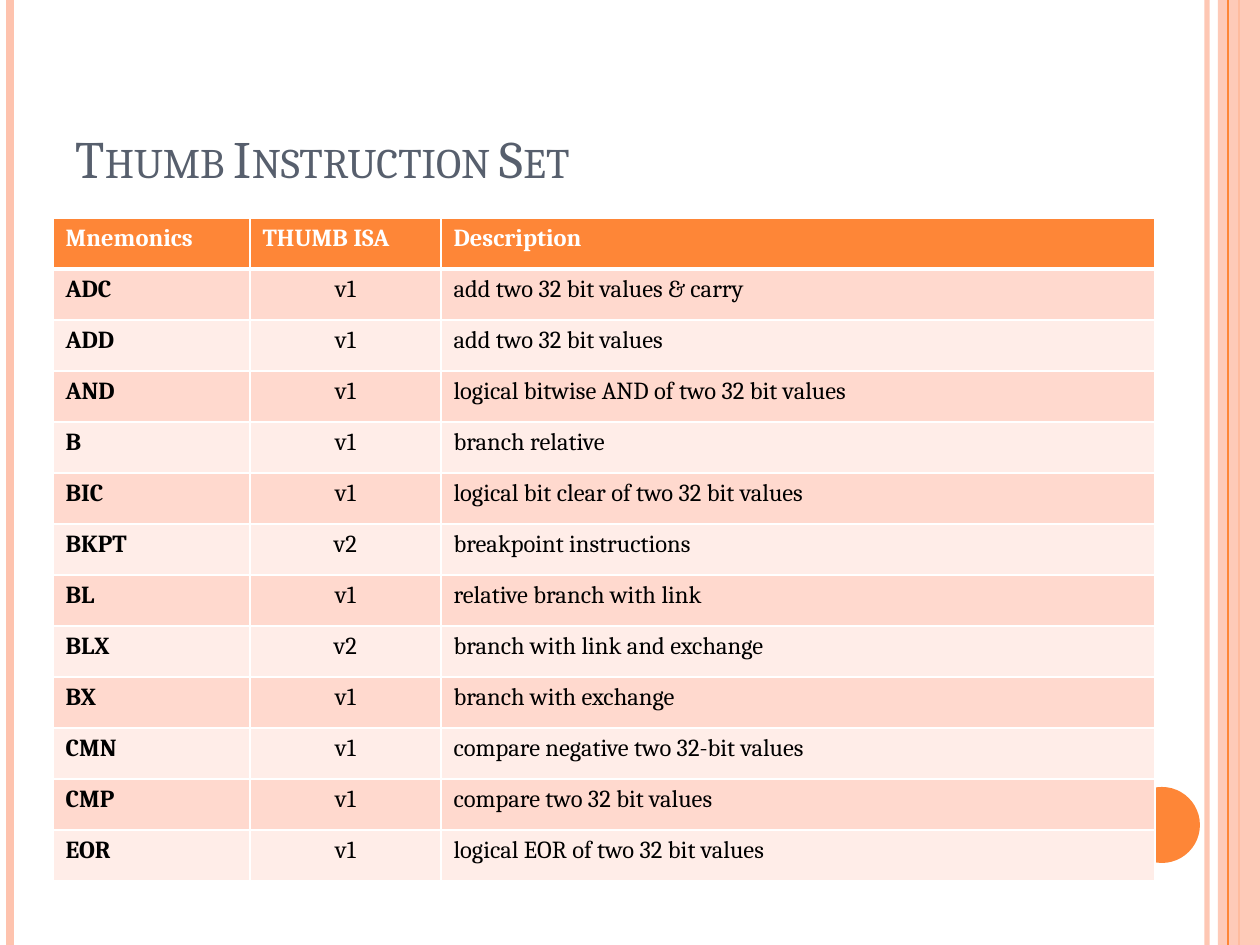
"""Build the Thumb instruction set slide."""
from dataclasses import dataclass

import lxml.etree as etree
import pptx
import pptx.dml.color
import pptx.enum.dml
import pptx.enum.shapes
import pptx.enum.text
import pptx.oxml.ns
import pptx.util

PX_PER_INCH = 126
SLIDE_W, SLIDE_H = 1260, 945
FONT = "Cambria"
ORANGE, PEACH, WHITE, BLACK, SLATE = "FE8637", "FEC3AE", "FFFFFF", "000000", "575F6D"
BANDS = ("FFD9CE", "FFEDE8")
ROW_H = 51
COLUMN_WIDTHS = (197, 191, 714)
HEADERS = ("Mnemonics", "THUMB ISA", "Description")


@dataclass(frozen=True)
class Stripe:
    x: int
    width: float
    color: str
    opacity: int = 100


@dataclass(frozen=True)
class Instruction:
    mnemonic: str
    isa: str
    description: str


RIGHT_EDGE_STRIPE = Stripe(1207, 3, PEACH, 93)
OUTER_STRIPES = (Stripe(10, 4.5, PEACH), Stripe(1239, 1.5, ORANGE))
BAND_STRIPE = Stripe(1228, 0.75, ORANGE)

INSTRUCTIONS = (
    Instruction("ADC", "v1", "add two 32 bit values & carry"),
    Instruction("ADD", "v1", "add two 32 bit values"),
    Instruction("AND", "v1", "logical bitwise AND of two 32 bit values"),
    Instruction("B", "v1", "branch relative"),
    Instruction("BIC", "v1", "logical bit clear of two 32 bit values"),
    Instruction("BKPT", "v2", "breakpoint instructions"),
    Instruction("BL", "v1", "relative branch with link"),
    Instruction("BLX", "v2", "branch with link and exchange"),
    Instruction("BX", "v1", "branch with exchange"),
    Instruction("CMN", "v1", "compare negative two 32-bit values"),
    Instruction("CMP", "v1", "compare two 32 bit values"),
    Instruction("EOR", "v1", "logical EOR of two 32 bit values"),
)


def px(n: int) -> pptx.util.Emu:
    """Turn pixels into EMU."""
    return pptx.util.Emu(round(n * 914400 / PX_PER_INCH))


def rgb(color: str) -> pptx.dml.color.RGBColor:
    """Turn a hex string into a colour."""
    return pptx.dml.color.RGBColor.from_string(color)


def sub(parent, tag: str, **attrs: str):
    """Append a DrawingML element."""
    return etree.SubElement(parent, pptx.oxml.ns.qn(tag), attrs)


def set_opacity(element, percent: int) -> None:
    """Make the first colour of an element partly transparent."""
    if percent < 100:
        color = next(element.iter(pptx.oxml.ns.qn("a:srgbClr")))
        sub(color, "a:alpha", val=str(percent * 1000))


def add_stripe(s, stripe: Stripe) -> None:
    """Draw a vertical line over the whole slide height."""
    line = s.shapes.add_connector(
        pptx.enum.shapes.MSO_CONNECTOR.STRAIGHT,
        px(stripe.x), px(0), px(stripe.x), px(SLIDE_H))
    line.line.color.rgb = rgb(stripe.color)
    line.line.width = pptx.util.Pt(stripe.width)
    set_opacity(line.line._get_or_add_ln(), stripe.opacity)
    sub(line._element.spPr, "a:effectLst")


def add_filled(s, kind, box: tuple[int, ...], color: str, opacity: int = 100) -> None:
    """Draw a filled shape without outline."""
    sp = s.shapes.add_shape(kind, *map(px, box))
    sp.shadow.inherit = False
    sp.fill.solid()
    sp.fill.fore_color.rgb = rgb(color)
    sp.line.fill.background()
    set_opacity(sp._element.spPr, opacity)


def add_run(p, text: str, size: int, color: str, bold: bool = False):
    """Add a formatted run to a paragraph."""
    r = p.add_run()
    r.text = text
    r.font.name = FONT
    r.font.size = pptx.util.Pt(size)
    r.font.bold = bold
    r.font.color.rgb = rgb(color)
    return r


def add_title(s, text: str) -> None:
    """Place and fill the title placeholder."""
    sp = s.shapes.title
    sp.left, sp.top, sp.width, sp.height = map(px, (63, 38, 1029, 157))
    tf = sp.text_frame
    tf.word_wrap = True
    tf.auto_size = pptx.enum.text.MSO_AUTO_SIZE.NONE
    tf.vertical_anchor = pptx.enum.text.MSO_ANCHOR.BOTTOM
    p = tf.paragraphs[0]
    p.alignment = pptx.enum.text.PP_ALIGN.LEFT
    r = add_run(p, text, 30, SLATE)
    r.font._element.set("cap", "small")


def set_borders(cell, top: int, bottom: int) -> None:
    """Give a cell white borders, 1 pt at the sides."""
    tc_pr = cell._tc.get_or_add_tcPr()
    for side, width in (("L", 1), ("R", 1), ("T", top), ("B", bottom)):
        ln = sub(tc_pr, f"a:ln{side}", w=str(pptx.util.Pt(width)))
        sub(sub(ln, "a:solidFill"), "a:srgbClr", val=WHITE)


def fill_cell(cell, text: str, row: int, col: int) -> None:
    """Write and format one table cell."""
    header = row == 0
    set_borders(cell, 3 if row == 1 else 1, 3 if header else 1)
    cell.fill.solid()
    cell.fill.fore_color.rgb = rgb(ORANGE if header else BANDS[(row - 1) % 2])
    p = cell.text_frame.paragraphs[0]
    if col == 1 and not header:
        p.alignment = pptx.enum.text.PP_ALIGN.CENTER
    add_run(p, text, 14, WHITE if header else BLACK, header or col == 0)


def add_instruction_table(s) -> None:
    """Draw the table of instructions."""
    rows = [HEADERS] + [(i.mnemonic, i.isa, i.description) for i in INSTRUCTIONS]
    table = s.shapes.add_table(
        len(rows), len(HEADERS), px(53), px(218),
        px(sum(COLUMN_WIDTHS)), px(ROW_H * len(rows))).table
    for column, width in zip(table.columns, COLUMN_WIDTHS):
        column.width = px(width)
    for row, texts in enumerate(rows):
        table.rows[row].height = px(ROW_H)
        for col, text in enumerate(texts):
            fill_cell(table.cell(row, col), text, row, col)


def main() -> None:
    """Build and save the slide."""
    shapes = pptx.enum.shapes.MSO_SHAPE
    prs = pptx.Presentation()
    prs.slide_width, prs.slide_height = px(SLIDE_W), px(SLIDE_H)
    s = prs.slides.add_slide(prs.slide_layouts[5])
    for stripe in (RIGHT_EDGE_STRIPE, *OUTER_STRIPES):
        add_stripe(s, stripe)
    add_filled(s, shapes.RECTANGLE, (1218, 0, 42, SLIDE_H), PEACH, 87)
    add_stripe(s, BAND_STRIPE)
    add_filled(s, shapes.OVAL, (1124, 787, 76, 76), ORANGE)
    add_title(s, "Thumb Instruction Set")
    add_instruction_table(s)
    prs.save("out.pptx")


if __name__ == "__main__":
    main()
